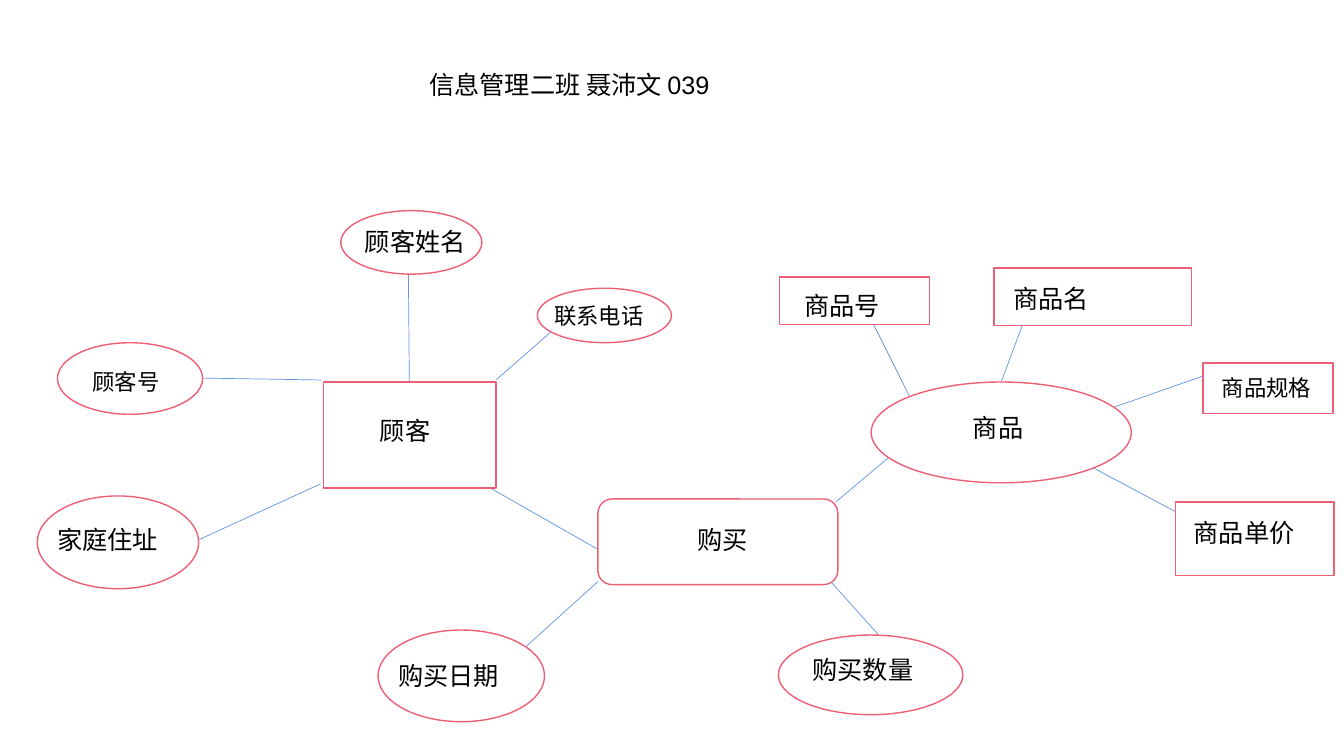
import pptx
import pptx.dml.color
import pptx.enum.shapes
import pptx.enum.text
import pptx.oxml.ns
import pptx.util
from lxml import etree

Inches = pptx.util.Inches
Pt = pptx.util.Pt
Shape = pptx.enum.shapes.MSO_SHAPE

WHITE = pptx.dml.color.RGBColor(0xFF, 0xFF, 0xFF)
BLACK = pptx.dml.color.RGBColor(0x00, 0x00, 0x00)
PINK = pptx.dml.color.RGBColor(0xEC, 0x5F, 0x74)
BLUE = pptx.dml.color.RGBColor(0x60, 0x96, 0xE6)

# Outline, its box, label wording, label left, top and width, label size
NODES = [
    (Shape.RECTANGLE, (3.21, 3.79, 1.71, 1.05), "顾客", (3.67, 4.07, 1.4), 18),
    (Shape.OVAL, (3.38, 2.09, 1.4, 0.63), "顾客姓名", (3.52, 2.2, 1.4), 18),
    (Shape.OVAL, (5.33, 2.86, 1.33, 0.54), "联系电话", (5.4, 2.95, 1.3), 16),
    (Shape.OVAL, (0.57, 3.4, 1.44, 0.71), "顾客号", (0.82, 3.6, 0.94), 16),
    (Shape.OVAL, (0.37, 4.92, 1.6, 0.92), "家庭住址", (0.47, 5.15, 1.43), 18),
    (Shape.ROUNDED_RECTANGLE, (5.93, 4.95, 2.38, 0.85), "购买", (6.82, 5.15, 2.04), 18),
    (Shape.OVAL, (3.75, 6.25, 1.65, 0.91), "购买日期", (3.85, 6.5, 1.49), 18),
    (Shape.OVAL, (7.72, 6.3, 1.83, 0.79), "购买数量", (7.96, 6.44, 1.39), 18),
    (Shape.OVAL, (8.64, 3.79, 2.58, 1), "商品", (9.55, 4.04, 1.88), 18),
    (Shape.RECTANGLE, (7.73, 2.75, 1.49, 0.47), "商品号", (7.88, 2.83, 1.25), 18),
    (Shape.RECTANGLE, (9.86, 2.66, 1.96, 0.57), "商品名", (9.95, 2.76, 1.79), 18),
    (Shape.RECTANGLE, (11.93, 3.6, 1.29, 0.5), "商品规格", (12.02, 3.66, 1.12), 16),
    (Shape.RECTANGLE, (11.66, 4.98, 1.57, 0.73), "商品单价", (11.74, 5.08, 1.45), 18),
]

# Start and end of each link: customer, purchase, then product
LINKS = [
    (4.06, 3.79, 4.05, 2.65),
    (3.19, 3.77, 1.95, 3.75),
    (3.18, 4.8, 1.96, 5.36),
    (4.92, 3.77, 5.64, 3.14),
    (4.86, 4.84, 6, 5.49),
    (5.93, 5.77, 5.19, 6.44),
    (8.24, 5.77, 8.75, 6.34),
    (8.29, 4.98, 8.86, 4.5),
    (9.02, 3.93, 8.66, 3.21),
    (9.93, 3.79, 10.21, 3.04),
    (11.02, 4.05, 12.16, 3.65),
    (10.84, 4.64, 11.76, 5.13),
]


def write_text(text_frame, text, size=18, color=BLACK, font="Arial"):
    """Write one formatted line into a text frame."""
    run = text_frame.paragraphs[0].add_run()
    run.text = text
    run.font.name = font
    run.font.size = Pt(size)
    run.font.color.rgb = color


class Diagram:
    """Draws entity diagram elements in one style on the current slide."""

    def __init__(self, slide, fill=WHITE, outline=PINK, link_color=BLUE):
        """Keep the slide and the diagram colours."""
        self.slide = slide
        self.fill = fill
        self.outline = outline
        self.link_color = link_color

    def link(self, *ends):
        """Draw a thin line between two points."""
        connector = self.slide.shapes.add_connector(
            pptx.enum.shapes.MSO_CONNECTOR.STRAIGHT, *map(Inches, ends))
        connector.line.color.rgb = self.link_color
        connector.line.width = Pt(0.5)
        properties = connector._element.spPr
        etree.SubElement(properties, pptx.oxml.ns.qn("a:effectLst"))

    def node(self, kind, box):
        """Draw the outline of an entity, attribute or relationship."""
        shape = self.slide.shapes.add_shape(kind, *map(Inches, box))
        shape.shadow.inherit = False
        shape.fill.solid()
        shape.fill.fore_color.rgb = self.fill
        shape.line.color.rgb = self.outline
        shape.line.width = Pt(1)

    def label(self, text, place, size=18):
        """Add a text box at a left, top and width, as tall as its line."""
        height = 0.4 if size == 18 else 0.37
        box = self.slide.shapes.add_textbox(*map(Inches, (*place, height)))
        text_frame = box.text_frame
        text_frame.word_wrap = True
        text_frame.auto_size = pptx.enum.text.MSO_AUTO_SIZE.SHAPE_TO_FIT_TEXT
        write_text(text_frame, text, size=size)


def main():
    """Build and save the customer purchase diagram."""
    presentation = pptx.Presentation()
    presentation.slide_width = Inches(13.33)
    presentation.slide_height = Inches(7.5)
    blank_layout = presentation.slide_layouts[6]
    diagram = Diagram(presentation.slides.add_slide(blank_layout))

    diagram.label("信息管理二班 聂沛文 039", (4.16, 0.64, 4.53))
    for ends in LINKS:
        diagram.link(*ends)
    for kind, box, text, place, size in NODES:
        diagram.node(kind, box)
        diagram.label(text, place, size)

    presentation.save("out.pptx")


main()
